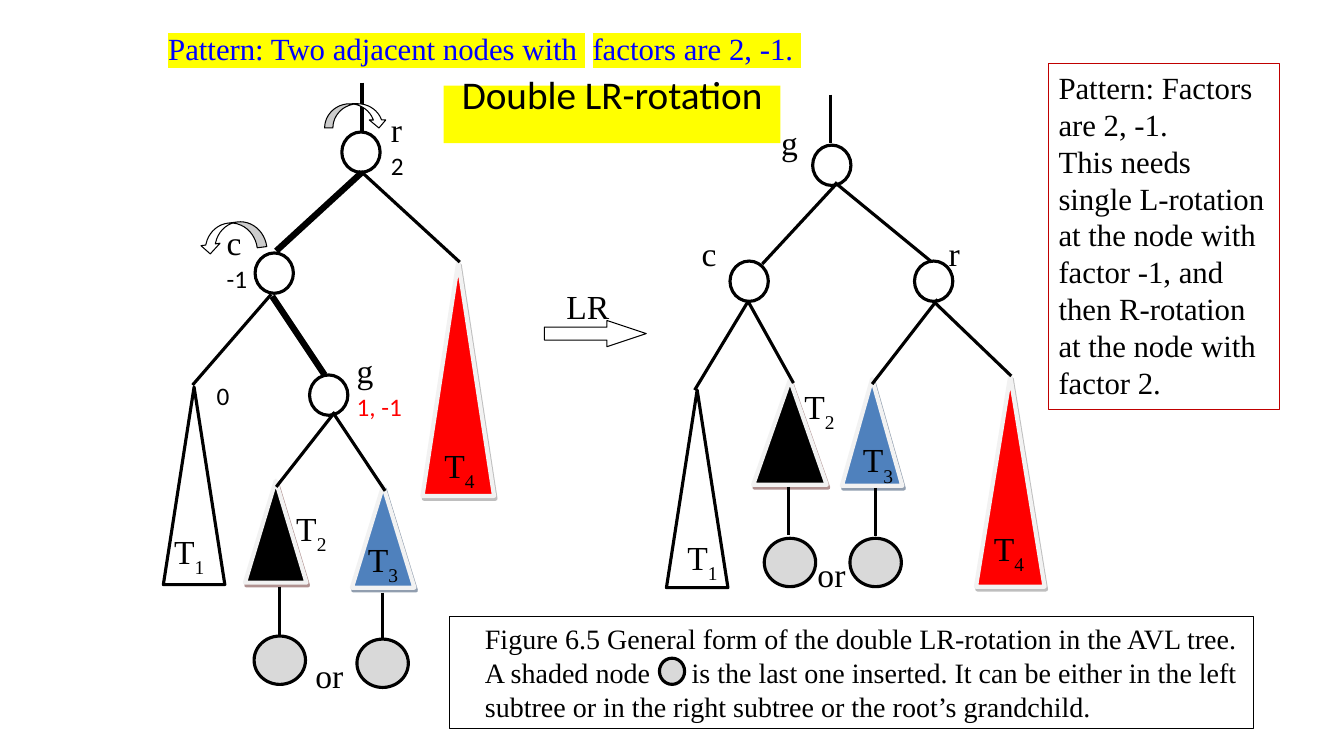
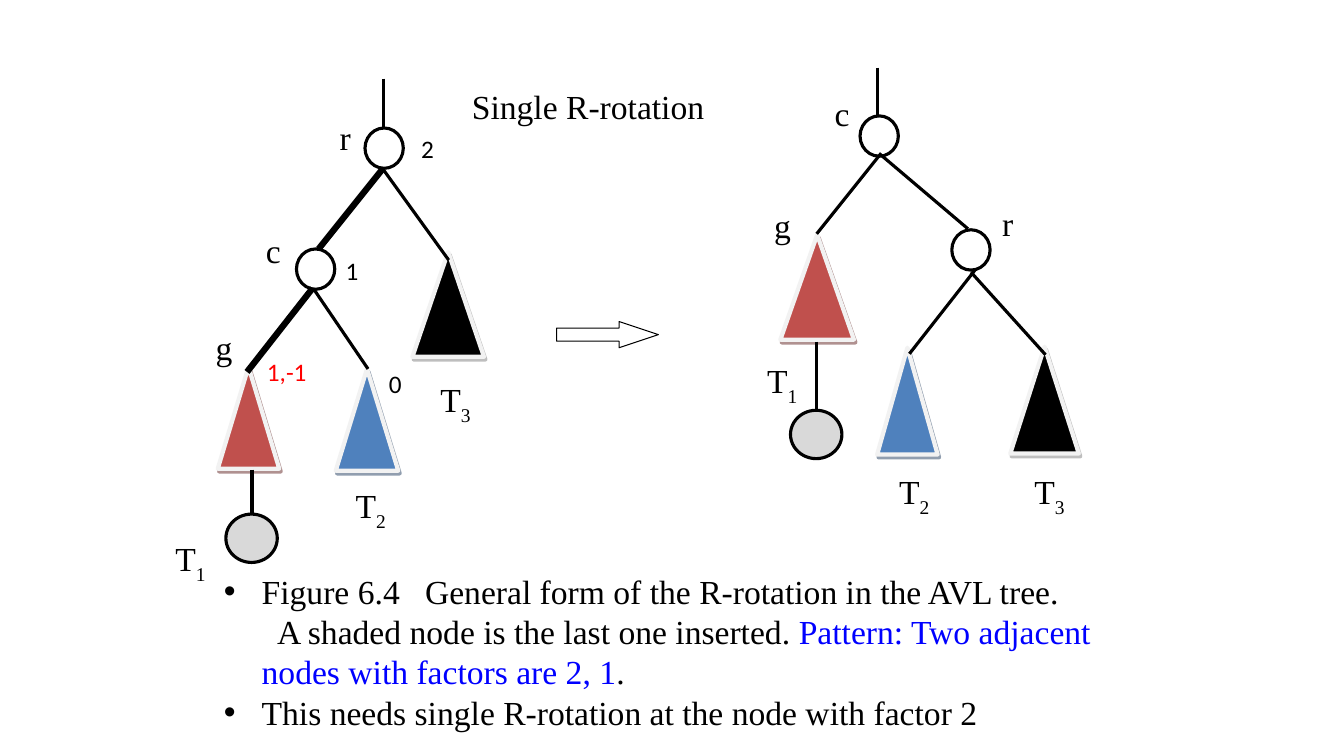
from dataclasses import dataclass

from lxml.etree import SubElement
from pptx import Presentation
from pptx.dml.color import RGBColor
from pptx.enum.shapes import MSO_CONNECTOR, MSO_SHAPE
from pptx.enum.text import MSO_ANCHOR, MSO_AUTO_SIZE, PP_ALIGN
from pptx.oxml.ns import qn
from pptx.util import Inches, Pt


@dataclass(frozen=True)
class Theme:
    serif: str = "Times New Roman"
    sans: str = "Calibri"
    ink: str = "000000"
    paper: str = "FFFFFF"
    blue: str = "0000FF"
    red: str = "FF0000"
    frame: str = "C00000"
    marker: str = "FFFF00"
    shaded: str = "D9D9D9"
    bevel: str = "F2F2F2"
    title: int = 28
    name: int = 24
    note: int = 22
    caption: int = 20
    factor: int = 18
    thin: float = 0.75
    edge: float = 2.25
    bevel_width: float = 3
    path_edge: float = 4.5


THEME = Theme()
NODE = (0.38, 0.4)
LEAF = (0.51, 0.48)

# Subtree kind: fill, shadow
SUBTREES = {
    "black": ("000000", "622423"),
    "black soft": ("000000", "7F7F7F"),
    "blue": ("4F81BD", "243F60"),
    "red": ("FF0000", "7F7F7F"),
    "brick": ("C0504D", "622423"),
    "plain": (THEME.paper, None),
}

DOUBLE_LR = {
    "subtrees": [
        ("black", 2.43, 4.77, 0.61, 1.01), ("blue", 3.49, 4.82, 0.62, 1.01),
        ("red", 4.19, 2.6, 0.71, 2.32), ("plain", 1.62, 3.84, 0.61, 1.96),
        ("black", 7.47, 3.77, 0.73, 1.04), ("blue", 8.35, 3.76, 0.6, 1.06),
        ("red", 9.68, 3.73, 0.68, 2.09), ("plain", 6.61, 3.87, 0.61, 1.96),
    ],
    "nodes": [(3.39, 1.31), (2.53, 2.51), (3.07, 3.72),
              (8.06, 1.44), (7.24, 2.59), (9.07, 2.59)],
    "leaves": [(2.52, 6.31), (3.54, 6.34), (7.58, 5.34), (8.43, 5.34)],
    "edges": [
        (3.59, 0.82, 3.59, 1.32), (3.58, 1.7, 4.56, 2.6), (2.69, 2.92, 1.91, 3.82),
        (3.3, 4.09, 3.82, 4.87), (3.32, 4.09, 2.74, 4.83),
        (2.77, 5.82, 2.77, 6.31), (3.79, 5.88, 3.79, 6.34),
        (8.24, 0.94, 8.24, 1.42), (8.28, 1.81, 9.23, 2.59), (8.3, 1.82, 7.56, 2.62),
        (9.28, 3.01, 10.03, 3.73), (9.3, 2.97, 8.65, 3.81),
        (7.42, 2.99, 7.87, 3.8), (7.42, 2.99, 6.89, 3.87),
        (7.82, 4.83, 7.82, 5.31), (8.68, 4.84, 8.68, 5.32),
    ],
    "path edges": [(3.59, 1.71, 2.74, 2.49), (2.7, 2.94, 3.22, 3.72)],
    "becomes": (5.4, 3.18),
    "names": [
        ("r", 3.78, 1.03), ("c", 2.15, 2.15), ("g", 3.44, 3.42),
        ("T_1", 1.63, 5.22), ("T_2", 2.84, 4.99), ("T_3", 3.55, 5.3), ("T_4", 4.31, 4.36),
        ("or", 3.03, 6.45), ("LR", 5.52, 2.79),
        ("g", 7.65, 1.16), ("c", 6.86, 2.26), ("r", 9.31, 2.26),
        ("T_1", 6.72, 5.28), ("T_2", 7.88, 3.78), ("T_3", 8.46, 4.31), ("T_4", 9.76, 5.19),
        ("or", 8.01, 5.45),
    ],
    "factors": [("2", 3.78, 1.44), ("-1", 2.15, 2.56), ("0", 2.05, 3.72)],
    "inserted factors": [("1, -1", 3.44, 3.83)],
}

SINGLE_R = {
    "subtrees": [
        ("brick", 2.16, 3.64, 0.61, 1.01), ("blue", 3.33, 3.66, 0.62, 1.01),
        ("black soft", 4.09, 2.5, 0.71, 1.04), ("brick", 7.74, 2.33, 0.73, 1.04),
        ("blue", 8.7, 3.45, 0.6, 1.06), ("black soft", 10.02, 3.44, 0.68, 1.06),
    ],
    "nodes": [(3.62, 1.27), (2.94, 2.47), (8.53, 1.15), (9.44, 2.28)],
    "leaves": [(2.24, 5.1), (7.84, 4.07)],
    "edges": [
        (3.8, 0.78, 3.8, 1.27), (3.8, 1.68, 4.45, 2.58), (3.12, 2.88, 3.65, 3.66),
        (2.5, 4.66, 2.5, 5.1), (8.7, 0.67, 8.7, 1.16), (8.74, 1.54, 9.6, 2.27),
        (8.74, 1.52, 8.1, 2.32), (9.63, 2.7, 10.37, 3.52), (9.67, 2.68, 9.02, 3.51),
        (8.1, 3.39, 8.1, 4.07),
    ],
    "path edges": [(3.8, 1.67, 3.16, 2.47), (3.1, 2.86, 2.45, 3.69)],
    "becomes": (5.52, 3.19),
    "names": [
        ("r", 3.27, 1.11), ("c", 2.54, 2.23), ("g", 2.04, 3.19),
        ("T_1", 1.64, 5.29), ("T_2", 3.43, 4.76), ("T_3", 4.27, 3.71),
        ("c", 8.18, 0.87), ("g", 7.58, 1.98), ("r", 9.84, 1.96),
        ("T_1", 7.51, 3.52), ("T_2", 8.82, 4.62), ("T_3", 10.16, 4.62),
    ],
    "factors": [("2", 4.08, 1.27), ("1", 3.33, 2.48), ("0", 3.76, 3.6)],
    "inserted factors": [("1,-1", 2.55, 3.49)],
}

# Turn arrow: left, top, width, height, rotation, flipped
TURNS = [(2.16, 2.02, 0.28, 0.66, 82.6, False), (3.41, 0.84, 0.24, 0.62, 90, True)]

# A paragraph is a list of runs: text, or (text, format)
PATTERN = [["Pattern: Two adjacent nodes with", (" ", {"tracking": 5.5}), "factors are 2, -1. "]]
REMEDY = [
    ["Pattern: Factors are 2, -1."],
    ["This needs single L-rotation at the node with factor -1, "
     "and then R-rotation at the node with factor 2."],
]
DOUBLE_CAPTION = [[
    "Figure 6.5 General form of the double LR-rotation in the AVL tree. "
    "A shaded node\tis the last one inserted. It can be either in the left "
    "subtree or in the right subtree or the root’s grandchild."
]]
SINGLE_CAPTION = [
    ["Figure 6.4", (" ", {"tracking": 12}), "General form of the R-rotation in the AVL tree.\n",
     (" ", {"tracking": 5}), "A shaded node is the last one inserted. ",
     ("Pattern: Two adjacent nodes with factors are 2, 1", {"color": THEME.blue}), "."],
    ["This needs single R-rotation at the node with factor 2"],
]


def rgb(value):
    return RGBColor.from_string(value)


def box(x, y, w, h):
    return [Inches(v) for v in (x, y, w, h)]


def add_run(paragraph, text, size, font, color, highlight=None, tracking=None, baseline=None):
    run = paragraph.add_run()
    run.text = text
    run.font.size, run.font.name = Pt(size), font
    run.font.color.rgb = rgb(color)
    props = run._r.get_or_add_rPr()
    if highlight:
        mark = SubElement(props, qn("a:highlight"))
        SubElement(mark, qn("a:srgbClr"), val=highlight)
        props.find(qn("a:solidFill")).addnext(mark)
    if tracking:
        props.set("spc", str(int(tracking * 100)))
    if baseline:
        props.set("baseline", str(baseline * 1000))


def write(shape, paragraphs, size=THEME.name, font=THEME.serif, color=THEME.ink,
          highlight=None, anchor=MSO_ANCHOR.TOP, left=0.1, bottom=0.05, tab=None):
    """Fill a shape with paragraphs of runs; a line feed in a run breaks the line."""
    frame = shape.text_frame
    frame.word_wrap, frame.auto_size = True, MSO_AUTO_SIZE.NONE
    frame.vertical_anchor = anchor
    frame.margin_left, frame.margin_bottom = Inches(left), Inches(bottom)
    base = dict(size=size, font=font, color=color, highlight=highlight)
    for index, runs in enumerate(paragraphs):
        paragraph = frame.add_paragraph() if index else frame.paragraphs[0]
        paragraph.alignment = PP_ALIGN.LEFT
        paragraph.space_before = Pt(0)
        if tab:
            stops = SubElement(paragraph._p.get_or_add_pPr(), qn("a:tabLst"))
            SubElement(stops, qn("a:tab"), pos=str(Inches(tab)), algn="l")
        for run in runs:
            text, extra = (run, {}) if isinstance(run, str) else run
            for line, part in enumerate(text.split("\n")):
                if line:
                    paragraph.add_line_break()
                if part:
                    add_run(paragraph, part, **{**base, **extra})


def place(shape, x, y, w, h):
    shape.left, shape.top, shape.width, shape.height = box(x, y, w, h)
    return shape


def add_text(slide, area, paragraphs, border=None, **fmt):
    shape = slide.shapes.add_textbox(*box(*area))
    if border:
        shape.line.color.rgb, shape.line.width = rgb(border), Pt(THEME.thin)
    write(shape, paragraphs, **fmt)


def add_preset(slide, preset, area, fill=THEME.paper, line=THEME.ink, width=THEME.edge):
    shape = slide.shapes.add_shape(preset, *box(*area))
    shape.shadow.inherit = False
    shape.fill.solid()
    shape.fill.fore_color.rgb = rgb(fill)
    shape.line.color.rgb, shape.line.width = rgb(line), Pt(width)
    return shape


def add_subtree(slide, kind, *area):
    fill, shadow = SUBTREES[kind]
    if not shadow:
        add_preset(slide, MSO_SHAPE.FLOWCHART_EXTRACT, area, fill)
        return
    shape = add_preset(slide, MSO_SHAPE.FLOWCHART_EXTRACT, area, fill,
                       THEME.bevel, THEME.bevel_width)
    effects = shape._element.spPr.find(qn("a:effectLst"))
    outer = SubElement(effects, qn("a:outerShdw"), dist=str(Pt(2.2)),
                       dir=str(63 * 60000), algn="ctr", rotWithShape="0")
    tint = SubElement(outer, qn("a:srgbClr"), val=shadow)
    SubElement(tint, qn("a:alpha"), val="50000")


def add_edge(slide, ends, width):
    edge = slide.shapes.add_connector(MSO_CONNECTOR.STRAIGHT, *box(*ends))
    edge.line.color.rgb, edge.line.width = rgb(THEME.ink), Pt(width)
    SubElement(edge._element.spPr, qn("a:effectLst"))


def add_leaf(slide, x, y, size=LEAF):
    add_preset(slide, MSO_SHAPE.FLOWCHART_CONNECTOR, (x, y, *size), THEME.shaded)


def add_turn(slide, x, y, w, h, rotation, flipped):
    turn = add_preset(slide, MSO_SHAPE.CURVED_RIGHT_ARROW, (x, y, w, h), width=THEME.thin)
    for index, value in enumerate((0.34, 0.68, 0.33)):
        turn.adjustments[index] = value
    turn.rotation = rotation
    if flipped:
        turn._element.spPr.find(qn("a:xfrm")).set("flipV", "1")


def add_label(slide, label, x, y, **fmt):
    """Add a short label; what follows an underscore is set as a subscript."""
    stem, _, index = label.partition("_")
    runs = [stem, (index, {"baseline": -30})] if index else [stem]
    add_text(slide, (x, y, 0.8, 0.5), [runs], **fmt)


def draw_rotation(slide, figure):
    for subtree in figure["subtrees"]:
        add_subtree(slide, *subtree)
    for corner in figure["nodes"]:
        add_preset(slide, MSO_SHAPE.FLOWCHART_CONNECTOR, (*corner, *NODE))
    for corner in figure["leaves"]:
        add_leaf(slide, *corner)
    for kind, width in (("edges", THEME.edge), ("path edges", THEME.path_edge)):
        for ends in figure[kind]:
            add_edge(slide, ends, width)
    becomes = add_preset(slide, MSO_SHAPE.RIGHT_ARROW, (*figure["becomes"], 1.01, 0.26),
                         width=THEME.thin)
    becomes.adjustments[1] = 1.5
    factor = dict(size=THEME.factor, font=THEME.sans)
    for kind, fmt in (("names", {}), ("factors", factor),
                      ("inserted factors", {**factor, "color": THEME.red})):
        for label in figure[kind]:
            add_label(slide, *label, **fmt)


def build_double_lr(deck):
    slide = deck.slides.add_slide(deck.slide_layouts[5])
    title = place(slide.shapes.title, 4.4, 0.85, 3.34, 0.57)
    title.fill.solid()
    title.fill.fore_color.rgb = rgb(THEME.marker)
    write(title, [["Double LR-rotation"]], size=THEME.title, font=THEME.sans,
          anchor=MSO_ANCHOR.MIDDLE, left=0.18, bottom=0.45)
    draw_rotation(slide, DOUBLE_LR)
    for turn in TURNS:
        add_turn(slide, *turn)
    add_text(slide, (1.57, 0.25, 6.72, 0.47), PATTERN, size=THEME.note,
             color=THEME.blue, highlight=THEME.marker)
    add_text(slide, (10.4, 0.63, 2.29, 3.43), REMEDY, border=THEME.frame, size=THEME.note)
    add_text(slide, (4.46, 6.12, 7.97, 1.11), DOUBLE_CAPTION, border=THEME.ink,
             size=THEME.caption, left=0.35, tab=2.05)
    add_leaf(slide, 6.54, 6.53, (0.25, 0.26))


def build_single_r(deck):
    slide = deck.slides.add_slide(deck.slide_layouts[1])
    write(place(slide.shapes.title, 4.08, 0.8, 3.34, 0.5), [["Single R-rotation"]],
          anchor=MSO_ANCHOR.MIDDLE, left=0.6)
    write(place(slide.placeholders[1], 2.12, 5.61, 8.84, 1.72), SINGLE_CAPTION)
    draw_rotation(slide, SINGLE_R)


def main():
    deck = Presentation()
    deck.slide_width, deck.slide_height = Inches(13.33), Inches(7.5)
    build_double_lr(deck)
    build_single_r(deck)
    deck.save("out.pptx")


if __name__ == "__main__":
    main()
